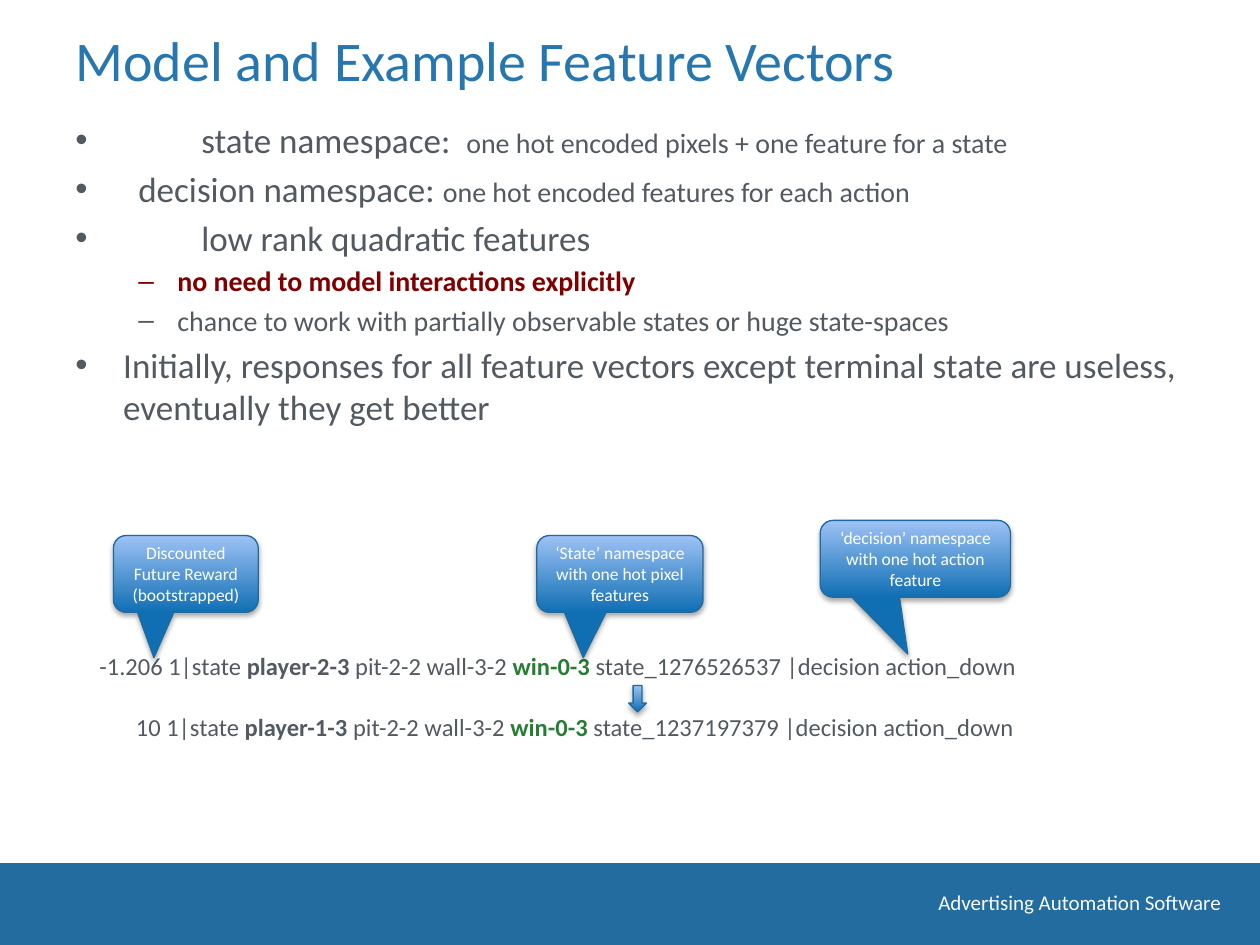
from dataclasses import dataclass

from lxml import etree
from pptx import Presentation
from pptx.dml.color import RGBColor
from pptx.enum.shapes import MSO_SHAPE
from pptx.enum.text import MSO_ANCHOR, PP_ALIGN
from pptx.oxml.ns import qn
from pptx.util import Inches, Pt

RECT = MSO_SHAPE.RECTANGLE
CALLOUT = MSO_SHAPE.ROUNDED_RECTANGULAR_CALLOUT
ARROW = MSO_SHAPE.DOWN_ARROW
LEFT, CENTER, RIGHT = PP_ALIGN.LEFT, PP_ALIGN.CENTER, PP_ALIGN.RIGHT
MIDDLE = MSO_ANCHOR.MIDDLE
TITLE_ONLY = 5


@dataclass(frozen=True)
class Theme:
    font: str = "Calibri"
    head: str = "2677B0"
    ink: str = "525A61"
    alert: str = "800000"
    win: str = "277D33"
    band: str = "236CA0"
    foot: str = "F8F9FA"
    white: str = "FFFFFF"
    deep: str = "106FB3"
    pale: str = "9EC2F6"
    edge: str = "1F6AA0"
    title: float = 32
    main: float = 20
    sub: float = 16
    code: float = 14
    small: float = 12
    note: float = 10


THEME = Theme()


def rgb(code):
    return RGBColor.from_string(code)


def write(para, text, size=THEME.code, color=THEME.ink, bold=False, align=LEFT):
    para.alignment = align
    run = para.add_run()
    run.text = text
    font = run.font
    font.name, font.size, font.bold = THEME.font, Pt(size), bold
    font.color.rgb = rgb(color)


def indent(para, left, hang=0):
    props = para._p.get_or_add_pPr()
    props.set("marL", str(Inches(left)))
    props.set("indent", str(-Inches(hang)))
    return props


def bullet(para, mark, left, hang, size):
    props = indent(para, left, hang)
    para.space_before = Pt(size * 0.2)
    etree.SubElement(props, qn("a:buFont"), typeface="Arial")
    etree.SubElement(props, qn("a:buChar"), char=mark)


def add_box(slide, *place):
    frame = slide.shapes.add_textbox(*map(Inches, place)).text_frame
    frame.word_wrap = True
    return frame


def add_glossy(slide, kind, *place):
    """Add a shape with the blue gradient, thin edge and soft shadow."""
    shape = slide.shapes.add_shape(kind, *map(Inches, place))
    shape.fill.gradient()
    shape.fill.gradient_angle = 90
    for stop, color, pos in zip(shape.fill.gradient_stops,
                                (THEME.deep, THEME.pale), (0, 1)):
        stop.color.rgb = rgb(color)
        stop.position = pos
    shape.line.color.rgb = rgb(THEME.edge)
    shape.line.width = Pt(0.75)
    shape.shadow.inherit = False
    effects = shape._element.spPr.find(qn("a:effectLst"))
    shade = etree.SubElement(effects, qn("a:outerShdw"), blurRad=str(Pt(3.1)),
                             dist=str(Pt(1.8)), dir="5400000", rotWithShape="0")
    black = etree.SubElement(shade, qn("a:srgbClr"), val="000000")
    etree.SubElement(black, qn("a:alpha"), val="35000")
    return shape


def add_callout(slide, text, left, top, width, tip):
    shape = add_glossy(slide, CALLOUT, left, top, width, 0.61)
    for i, value in enumerate(tip):
        shape.adjustments[i] = value
    frame = shape.text_frame
    frame.word_wrap = True
    frame.vertical_anchor = MIDDLE
    write(frame.paragraphs[0], text, THEME.note, THEME.white, align=CENTER)


def add_sample(slide, left, top, label, player, state, inset=0):
    """Add one feature vector, with its player and win cells in bold."""
    para = add_box(slide, left, top, 9.05, 0.34).paragraphs[0]
    indent(para, inset)
    write(para, f"{label} 1|state ")
    write(para, f"{player} ", bold=True)
    write(para, "pit-2-2 wall-3-2 ")
    write(para, "win-0-3 ", color=THEME.win, bold=True)
    write(para, f"{state} |decision action_down")


def add_title(slide, text):
    title = slide.shapes.title
    title.left, title.top, title.width, title.height = map(
        Inches, (0.5, 0.04, 9, 0.86))
    title.text_frame.vertical_anchor = MIDDLE
    write(title.text_frame.paragraphs[0], text, THEME.title, THEME.head)


def add_footer(slide, text):
    band = slide.shapes.add_shape(RECT, *map(Inches, (-0.11, 6.85, 10.21, 0.71)))
    band.shadow.inherit = False
    band.fill.solid()
    band.fill.fore_color.rgb = rgb(THEME.band)
    band.line.fill.background()
    frame = add_box(slide, 7.21, 7.01, 2.58, 0.3)
    write(frame.paragraphs[0], text, THEME.small, THEME.foot, align=RIGHT)


def add_points(slide):
    main, sub = THEME.main, THEME.sub
    points = [
        ("•", 1, 1, [("state namespace:  ", main),
                     ("one hot encoded pixels + one feature for a state", sub)]),
        ("•", 0.5, 0.5, [("decision namespace: ", main),
                         ("one hot encoded features for each action", sub)]),
        ("•", 1, 1, [("low rank quadratic features", main)]),
        ("–", 0.81, 0.31, [("no need to model interactions explicitly",
                            sub, THEME.alert, True)]),
        ("–", 0.81, 0.31, [("chance to work with partially observable states "
                            "or huge state-spaces", sub)]),
        ("•", 0.38, 0.38, [("Initially, responses for all feature vectors except "
                            "terminal state are useless, eventually they get "
                            "better", main)]),
    ]
    frame = add_box(slide, 0.5, 0.89, 9, 2.17)
    for i, (mark, left, hang, runs) in enumerate(points):
        para = frame.add_paragraph() if i else frame.paragraphs[0]
        para.level = int(mark == "–")
        bullet(para, mark, left, hang, runs[0][1])
        for run in runs:
            write(para, *run)


def main():
    deck = Presentation()
    deck.slide_width, deck.slide_height = Inches(10), Inches(7.5)
    slide = deck.slides.add_slide(deck.slide_layouts[TITLE_ONLY])
    add_footer(slide, "Advertising Automation Software")
    add_title(slide, "Model and Example Feature Vectors")
    add_points(slide)
    add_sample(slide, 0.69, 5.12, "-1.206", "player-2-3", "state_1276526537")
    near, far = (-0.22, 1.09), (-0.04, 1.24)
    for note in [
        ("Discounted Future Reward (bootstrapped)", 0.9, 4.25, 1.15, near),
        ("‘State’ namespace with one hot pixel features", 4.26, 4.25, 1.32, near),
        ("‘decision’ namespace with one hot action feature", 6.51, 4.13, 1.51, far),
    ]:
        add_callout(slide, *note)
    add_sample(slide, 0.76, 5.6, "10", "player-1-3", "state_1237197379", inset=0.22)
    add_glossy(slide, ARROW, 4.99, 5.44, 0.14, 0.21)
    deck.save("out.pptx")


if __name__ == "__main__":
    main()
